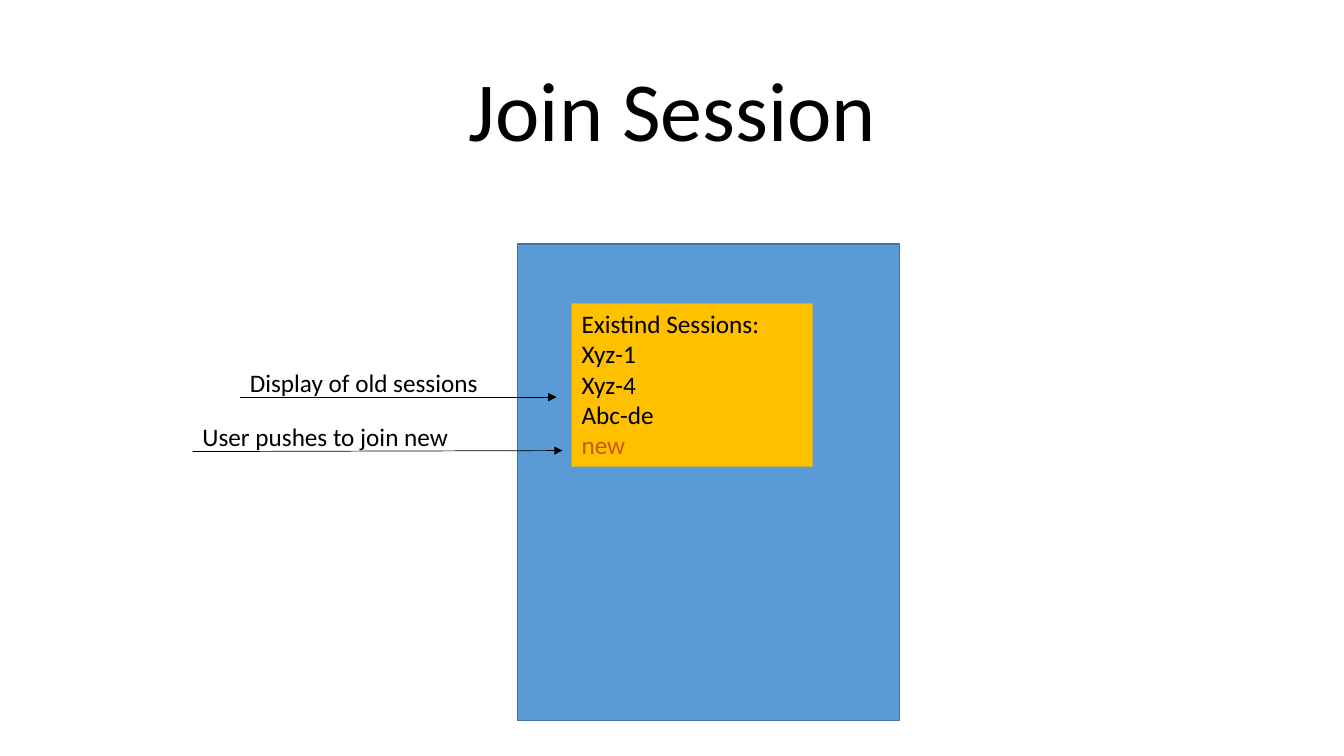
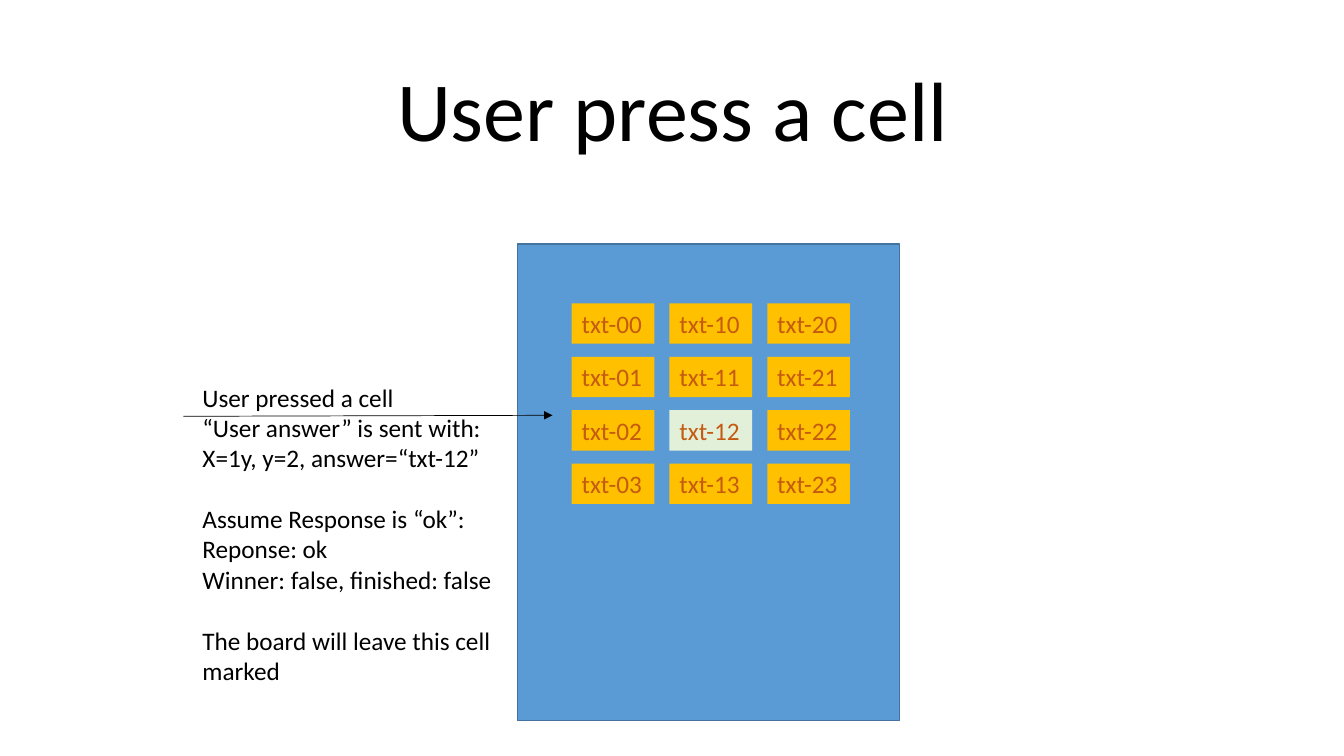
import pptx
import pptx.util
import pptx.dml.color
import pptx.enum.shapes
import pptx.enum.text
import pptx.oxml.ns
import lxml.etree

Inches = pptx.util.Inches
Pt = pptx.util.Pt
RGBColor = pptx.dml.color.RGBColor
Anchor = pptx.enum.text.MSO_ANCHOR
Align = pptx.enum.text.PP_ALIGN
qn = pptx.oxml.ns.qn

BLACK = RGBColor(0x00, 0x00, 0x00)
BLUE = RGBColor(0x5B, 0x9B, 0xD5)
DARK_BLUE = RGBColor(0x43, 0x73, 0x9E)
GOLD = RGBColor(0xFF, 0xC0, 0x00)
PALE_GREEN = RGBColor(0xE2, 0xF0, 0xD9)
RUST = RGBColor(0xC5, 0x5A, 0x11)


class Storyboard:
    font = "Calibri"
    title_size = Pt(60)
    body_size = Pt(18)
    line_height = Pt(22)

    def __init__(self):
        self.deck = pptx.Presentation()
        self.deck.slide_width = Inches(13.33)
        self.deck.slide_height = Inches(7.5)
        self.page = None

    def start_page(self, title):
        self.page = self.deck.slides.add_slide(self.deck.slide_layouts[6])
        frame = self.text(1.67, 0.55, 10, 1.08, [title], size=self.title_size)
        frame.vertical_anchor = Anchor.BOTTOM
        frame.paragraphs[0].alignment = Align.CENTER
        frame.paragraphs[0].line_spacing = 0.9
        self.panel(5.13, 2.42, 3.79, 4.73, BLUE, line=DARK_BLUE)

    def add_lines(self, frame, lines, color=BLACK, size=body_size):
        frame.word_wrap = True
        for index, line in enumerate(lines):
            para = frame.paragraphs[0] if index == 0 else frame.add_paragraph()
            para.alignment = Align.LEFT
            span = para.add_run()
            span.text = line
            span.font.name = self.font
            span.font.size = size
            span.font.color.rgb = color
        return frame

    def text(self, left, top, width, height, lines, size=body_size):
        box = self.page.shapes.add_textbox(
            Inches(left), Inches(top), Inches(width), Inches(height))
        return self.add_lines(box.text_frame, lines, size=size)

    def panel(self, left, top, width, height, fill, lines=(), color=BLACK, line=None):
        box = self.page.shapes.add_shape(
            pptx.enum.shapes.MSO_SHAPE.RECTANGLE,
            Inches(left), Inches(top), Inches(width), Inches(height))
        box.shadow.inherit = False
        box.fill.solid()
        box.fill.fore_color.rgb = fill
        if line is None:
            box.line.fill.background()
        else:
            box.line.color.rgb = line
            box.line.width = Pt(1)
        box.text_frame.vertical_anchor = Anchor.TOP
        return self.add_lines(box.text_frame, lines, color)

    def arrow(self, from_x, from_y, to_x, to_y):
        arrow = self.page.shapes.add_connector(
            pptx.enum.shapes.MSO_CONNECTOR.STRAIGHT,
            Inches(from_x), Inches(from_y), Inches(to_x), Inches(to_y))
        arrow.line.color.rgb = BLACK
        arrow.line.width = Pt(0.5)
        outline = arrow.line.fill._xPr
        lxml.etree.SubElement(outline, qn("a:tailEnd"), type="triangle")
        lxml.etree.SubElement(outline.getparent(), qn("a:effectLst"))


board = Storyboard()

board.start_page("Join Session")
sessions = board.panel(
    5.67, 3.01, 2.39, 1.62, GOLD,
    ["Existind Sessions:", "Xyz-1", "Xyz-4", "Abc-de", "new"])
sessions.paragraphs[-1].runs[0].font.color.rgb = RUST
board.arrow(2.38, 3.94, 5.52, 3.94)
board.text(2.38, 3.59, 2.63, 0.71, ["Display of old sessions"])
board.arrow(1.91, 4.48, 5.58, 4.47)
board.text(1.91, 4.13, 3.16, 0.71, ["User pushes to join new"])

board.start_page("User press a cell")
board.arrow(1.82, 4.13, 5.48, 4.12)
answer = board.text(1.91, 3.74, 3.16, 3.13, [
    "User pressed a cell",
    "“User answer” is sent with:",
    "X=1y, y=2, answer=“txt-12”",
    "Assume Response is “ok”:",
    "Reponse: ok",
    "Winner: false, finished: false",
    "The board will leave this cell ",
    "marked",
])
for section_start in (3, 6):
    answer.paragraphs[section_start].space_before = board.line_height

PRESSED_CELL = (1, 2)
for row in range(4):
    for column in range(3):
        fill = PALE_GREEN if (column, row) == PRESSED_CELL else GOLD
        board.panel(5.67 + 0.97 * column, 3.01 + 0.53 * row, 0.82, 0.4,
                    fill, [f"txt-{column}{row}"], RUST)

board.deck.save("out.pptx")
